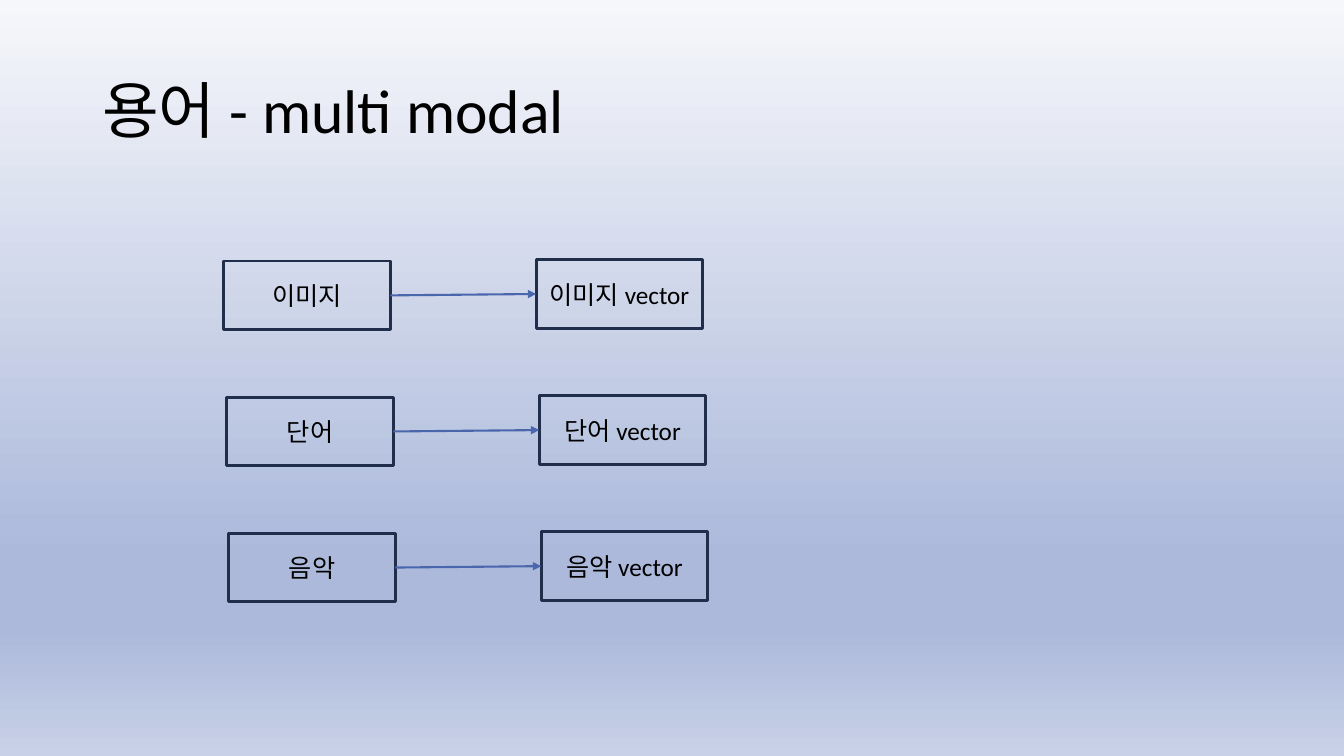
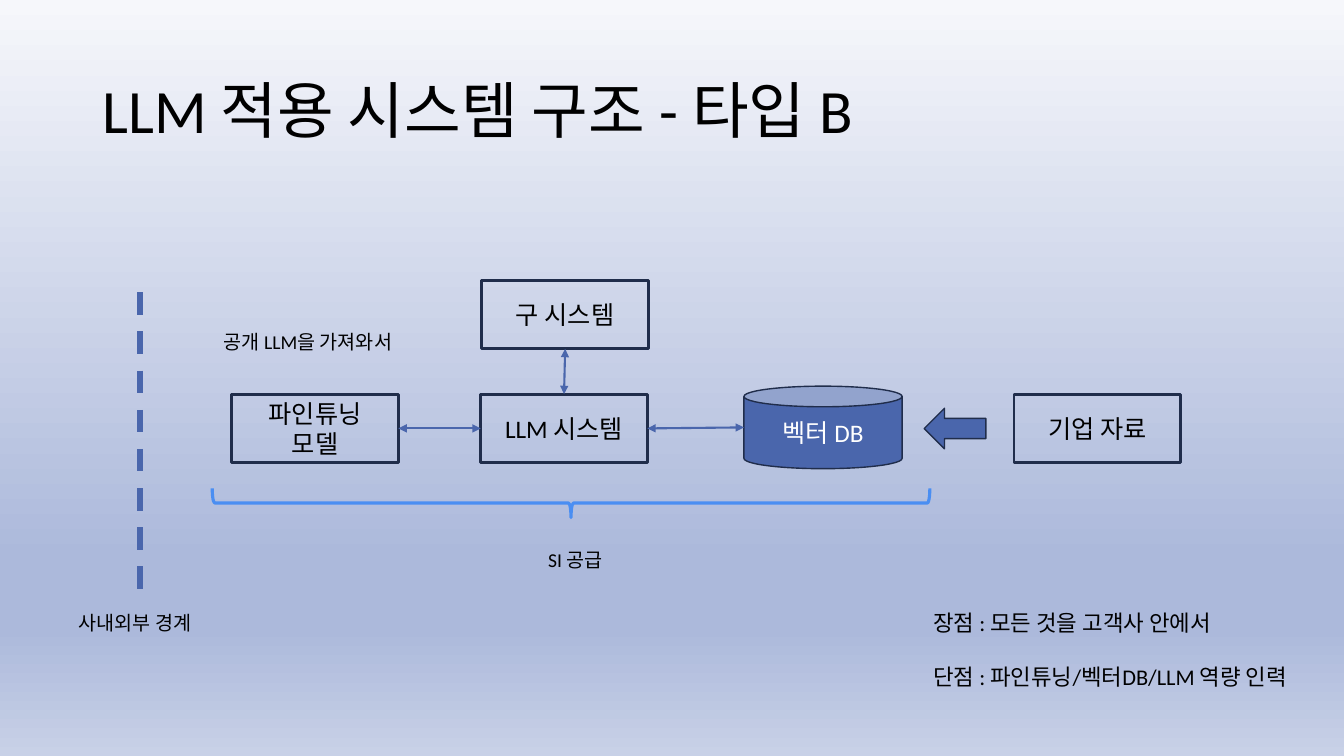
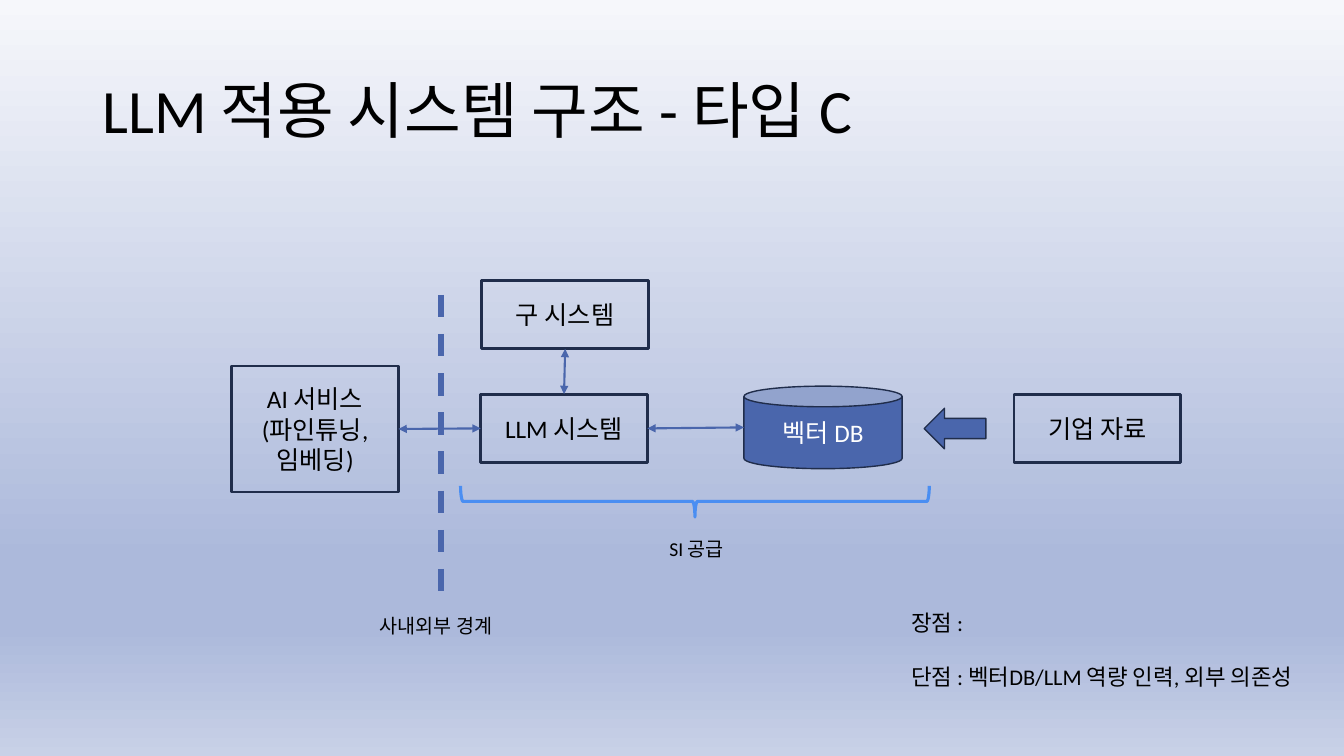
from copy import deepcopy

from pptx import Presentation
from pptx.dml.color import RGBColor
from pptx.enum.dml import MSO_LINE
from pptx.enum.shapes import MSO_CONNECTOR, MSO_SHAPE as SHAPE
from pptx.enum.text import MSO_ANCHOR as ANCHOR, PP_ALIGN as ALIGN
from pptx.oxml.ns import qn
from pptx.oxml.xmlchemy import OxmlElement
from pptx.util import Pt

BLACK = RGBColor(0x00, 0x00, 0x00)
WHITE = RGBColor(0xFF, 0xFF, 0xFF)
BLUE = RGBColor(0x4A, 0x66, 0xAC)
NAVY = RGBColor(0x20, 0x2D, 0x4B)
BRIGHT = RGBColor(0x4A, 0x8E, 0xF2)
BACKGROUND = [
    (0, RGBColor(0xF6, 0xF7, 0xFB)),
    (0.74, RGBColor(0xAC, 0xB9, 0xDB)),
    (0.83, RGBColor(0xAC, 0xB9, 0xDB)),
    (1, RGBColor(0xC8, 0xD1, 0xE7)),
]
FONT = "Calibri"
TOP, LEFT, BOTTOM, RIGHT = range(4)
BOX_W, BOX_H = 119, 49


class Deck:
    def __init__(self):
        self.prs = Presentation()
        self.prs.slide_width, self.prs.slide_height = Pt(960), Pt(540)
        self.s = None

    def slide(self, title):
        self.s = self.prs.slides.add_slide(self.prs.slide_layouts[6])
        fill = self.s.background.fill
        fill.gradient()
        fill.gradient_angle = 270
        stops = self.s.element.find(".//" + qn("a:gsLst"))
        while len(stops) < len(BACKGROUND):
            stops.append(deepcopy(stops[0]))
        for stop, (position, color) in zip(fill.gradient_stops, BACKGROUND):
            stop.position = position
            stop.color.rgb = color
        tf = self.text(66, 29, 828, 104, [title], 44).text_frame
        tf.vertical_anchor = ANCHOR.MIDDLE
        tf.paragraphs[0].line_spacing = 0.9

    def fill_text(self, tf, lines, size, color=BLACK, align=ALIGN.LEFT, gap=0):
        tf.word_wrap = True
        for i, line in enumerate(lines):
            p = tf.add_paragraph() if i else tf.paragraphs[0]
            p.alignment = align
            if i and gap:
                p.space_before = Pt(gap)
            r = p.add_run()
            r.text = line
            r.font.name, r.font.size = FONT, Pt(size)
            r.font.color.rgb = color

    def text(self, x, y, w, h, lines, size, gap=0):
        sp = self.s.shapes.add_textbox(Pt(x), Pt(y), Pt(w), Pt(h))
        self.fill_text(sp.text_frame, lines, size, gap=gap)
        return sp

    def shape(self, kind, x, y, w, h, fill=None, line=NAVY, weight=1):
        sp = self.s.shapes.add_shape(kind, Pt(x), Pt(y), Pt(w), Pt(h))
        sp.shadow.inherit = False
        if fill is None:
            sp.fill.background()
        else:
            sp.fill.solid()
            sp.fill.fore_color.rgb = fill
        sp.line.color.rgb, sp.line.width = line, Pt(weight)
        return sp

    def box(self, x, y, *lines, h=BOX_H):
        sp = self.shape(SHAPE.RECTANGLE, x, y, BOX_W, h, weight=2)
        self.fill_text(sp.text_frame, lines, 18, align=ALIGN.CENTER)
        return sp

    def can(self, x, y, w, h, label):
        sp = self.shape(SHAPE.CAN, x, y, w, h, fill=BLUE)
        self.fill_text(sp.text_frame, [label], 18, WHITE, ALIGN.CENTER)
        return sp

    def brace(self, x, y, w, h):
        """Draw a brace pointing down; x, y, w, h are as seen once turned."""
        sp = self.shape(SHAPE.LEFT_BRACE, x + (w - h) / 2, y + (h - w) / 2,
                        h, w, line=BRIGHT, weight=2.25)
        sp.rotation = 270

    def line(self, x1, y1, x2, y2, weight):
        c = self.s.shapes.add_connector(MSO_CONNECTOR.STRAIGHT, x1, y1, x2, y2)
        c.line.color.rgb, c.line.width = BLUE, Pt(weight)
        c.element.spPr.append(OxmlElement("a:effectLst"))
        return c

    def link(self, src, src_side, dst, dst_side, both=True):
        """Arrow from a box to another shape; only rectangles are joined."""
        c = self.line(0, 0, dst.left, dst.top + dst.height // 2, 1.5)
        c.begin_connect(src, src_side)
        if dst.auto_shape_type == SHAPE.RECTANGLE:
            c.end_connect(dst, dst_side)
        ln = c.element.spPr.find(qn("a:ln"))
        for tag in ("a:headEnd", "a:tailEnd") if both else ("a:tailEnd",):
            end = OxmlElement(tag)
            end.set("type", "triangle")
            ln.append(end)

    def boundary(self, x, y):
        c = self.line(Pt(x), Pt(y), Pt(x), Pt(y + 212), 4)
        c.line.dash_style = MSO_LINE.DASH
        self.text(x - 51, y + 224, 102, 24, ["사내외부 경계"], 14)

    def system(self, model_y, model_h, model_lines):
        """The flow that both system types share, with their own model box."""
        model = self.box(165.6, model_y, *model_lines, h=model_h)
        llm = self.box(343.4, 281.5, "LLM 시스템")
        legacy = self.box(344.2, 200.2, "구 시스템")
        self.box(724.3, 281.5, "기업 자료")
        store = self.can(531.4, 275.8, 113, 59, "벡터 DB")
        self.shape(SHAPE.LEFT_ARROW, 660.2, 291.6, 44, 29, fill=BLUE)
        self.link(model, RIGHT, llm, LEFT)
        self.link(llm, RIGHT, store, LEFT)
        self.link(legacy, BOTTOM, llm, TOP)

    def supply(self, x, y, w, h, label_x, label_y):
        self.brace(x, y, w, h)
        self.text(label_x, label_y, 56, 24, ["SI 공급"], 14)

    def verdict(self, x, w, pro, con):
        self.text(x, 431.5, w, 66, [pro, con], 16, gap=19.3)


def main():
    deck = Deck()

    deck.slide("용어 - multi modal")
    for i, (x, name) in enumerate([(159.8, "이미지"), (162, "단어"), (163.4, "음악")]):
        y = 186.5 + 97.2 * i
        source = deck.box(x, y, name)
        vector = deck.box(x + 223.2, y - 1, f"{name} vector")
        deck.link(source, RIGHT, vector, LEFT, both=False)

    deck.slide("LLM 적용 시스템 구조 - 타입 B")
    deck.system(281.5, BOX_H, ["파인튜닝", "모델"])
    deck.boundary(100, 208.8)
    deck.supply(151.6, 348.8, 512.6, 20.9, 384.5, 388)
    deck.text(152.6, 231.8, 145, 24, ["공개 LLM을 가져와서"], 14)
    deck.verdict(659.5, 288.7, "장점 : 모든 것을 고객사 안에서",
                 "단점 : 파인튜닝/벡터DB/LLM 역량 인력")

    deck.slide("LLM 적용 시스템 구조 - 타입 C")
    deck.system(261.4, 90, ["AI 서비스", "(파인튜닝, 임베딩)"])
    deck.boundary(315.2, 210.6)
    deck.supply(329, 347, 334.8, 22.3, 471, 380.2)
    deck.verdict(643.7, 307.4, "장점 :", "단점 : 벡터DB/LLM 역량 인력, 외부 의존성")

    deck.prs.save("out.pptx")


if __name__ == "__main__":
    main()
